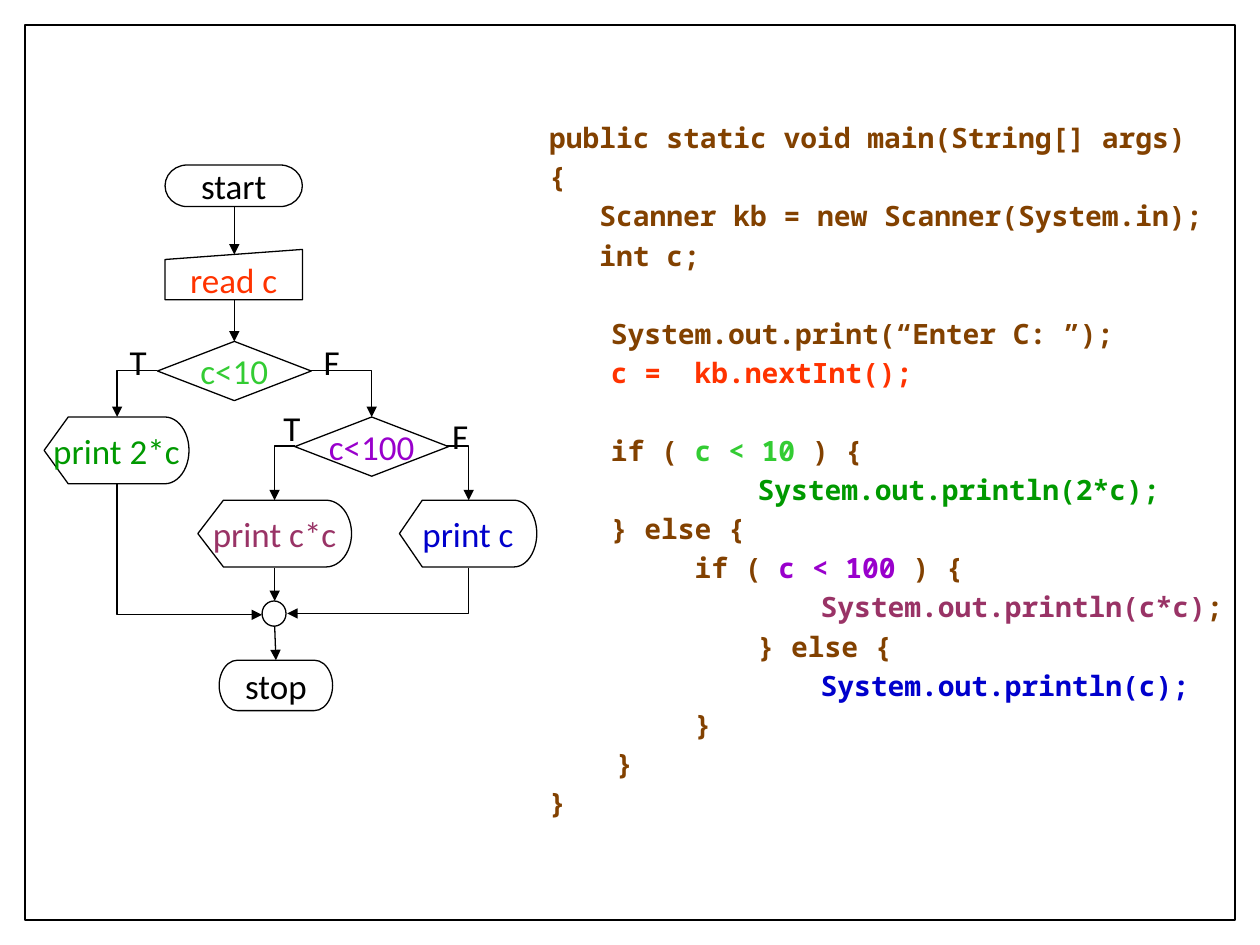
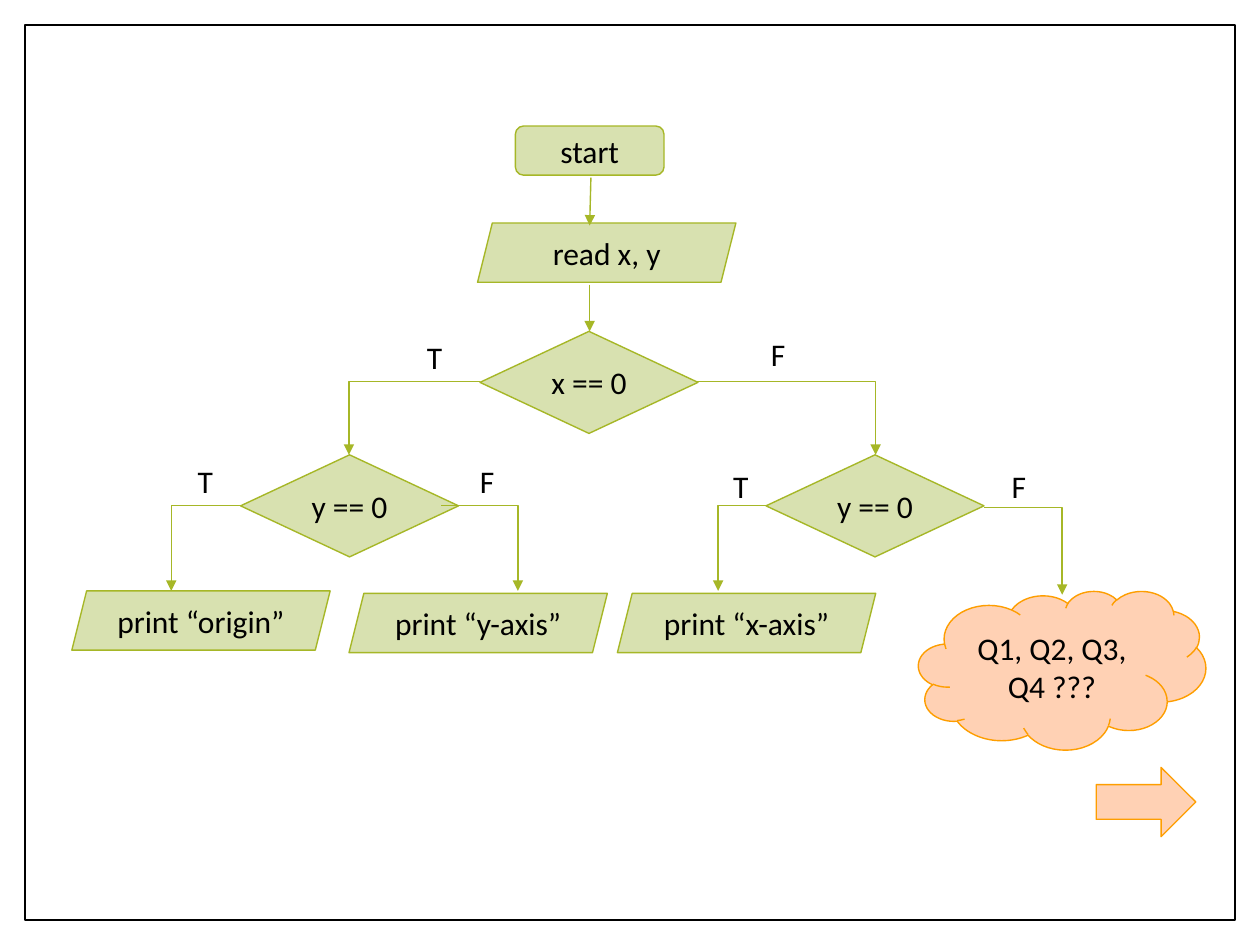
from dataclasses import dataclass

from lxml import etree
from pptx import Presentation
from pptx import util as u
from pptx.dml.color import RGBColor
from pptx.enum import shapes, text
from pptx.oxml.ns import qn


@dataclass(frozen=True)
class Theme:
    font: str = "Calibri"
    code_font: str = "Noto Sans Mono"
    black: str = "000000"
    white: str = "FFFFFF"
    brown: str = "824100"
    red: str = "FF3300"
    lime: str = "33CC33"
    green: str = "009900"
    violet: str = "9900CC"
    plum: str = "993366"
    blue: str = "0000CC"
    olive: str = "A6B727"
    pale_olive: str = "D8E1B0"
    orange: str = "FE9E00"
    pale_orange: str = "FFD1B4"
    code_size: float = 16
    code_pitch: float = 22.35
    code_gap: float = 3.15
    large: float = 20
    medium: float = 18
    thin: float = 0.75
    medium_line: float = 0.79
    frame_line: float = 1


theme = Theme()
kinds = shapes.MSO_SHAPE


def add_node(slide, kind, box, words="", size=theme.large, color=theme.black,
             fill=theme.white, line=theme.black, width=theme.thin, wrap=False):
    place = [u.Inches(value) for value in box]
    if kind is None:
        shape = slide.shapes.add_textbox(*place)
        shape.text_frame.auto_size = text.MSO_AUTO_SIZE.SHAPE_TO_FIT_TEXT
    else:
        shape = slide.shapes.add_shape(kind, *place)
        shape.shadow.inherit = False
        shape.fill.solid()
        shape.fill.fore_color.rgb = RGBColor.from_string(fill)
        shape.line.color.rgb = RGBColor.from_string(line)
        shape.line.width = u.Pt(width)
        shape.text_frame.vertical_anchor = text.MSO_ANCHOR.MIDDLE
    shape.text_frame.word_wrap = wrap
    if words:
        paragraph = shape.text_frame.paragraphs[0]
        paragraph.text = words
        paragraph.alignment = text.PP_ALIGN.LEFT if kind is None else text.PP_ALIGN.CENTER
        paragraph.font.name = theme.font
        paragraph.font.size = u.Pt(size)
        paragraph.font.color.rgb = RGBColor.from_string(color)


def add_link(slide, start, end, color, width, arrow="tailEnd"):
    straight = abs(start[0] - end[0]) < 0.05
    kind = shapes.MSO_CONNECTOR.STRAIGHT if straight else shapes.MSO_CONNECTOR.ELBOW
    connector = slide.shapes.add_connector(kind, *[u.Inches(value) for value in start + end])
    properties = connector._element.spPr
    if not straight:
        properties.find(qn("a:prstGeom")).set("prst", "bentConnector2")
    connector.line.color.rgb = RGBColor.from_string(color)
    connector.line.width = u.Pt(width)
    etree.SubElement(properties.find(qn("a:ln")), qn("a:" + arrow), type="triangle")
    etree.SubElement(properties, qn("a:effectLst"))


presentation = Presentation()
presentation.slide_width = u.Inches(10)
presentation.slide_height = u.Inches(7.5)
code_slide, axis_slide = [
    presentation.slides.add_slide(presentation.slide_layouts[6]) for _ in range(2)
]
for slide in (code_slide, axis_slide):
    add_node(slide, kinds.RECTANGLE, (0.2, 0.2, 9.6, 7.1), width=theme.frame_line)

code_lines = [
    (0, 0, [("public static void main(String[] args)", theme.brown)]),
    (0, 0, [("{", theme.brown)]),
    (0, 0, [("   Scanner kb = new Scanner(System.in);", theme.brown)]),
    (0, 0, [("   int c;", theme.brown)]),
    (0.49, 1, [("System.out.print(“Enter C: ”);", theme.brown)]),
    (0.49, 0, [("c =  kb.nextInt();", theme.red)]),
    (0.49, 1, [("if ( ", theme.brown), ("c < 10 ", theme.lime), (") {", theme.brown)]),
    (0.99, 0, [("     System.out.println(2*c);", theme.green)]),
    (0.49, 0, [("} else {", theme.brown)]),
    (0.49, 0, [("     if ( ", theme.brown), ("c < 100 ", theme.violet), (") {", theme.brown)]),
    (1.49, 0, [("     System.out.println(c*c)", theme.plum), (";", theme.brown)]),
    (0.99, 0, [("     } else {", theme.brown)]),
    (1.49, 0, [("     System.out.println(c);", theme.blue)]),
    (0.49, 0, [("     }", theme.brown)]),
    (0, 0, [("    }", theme.brown)]),
    (0, 0, [("}", theme.brown)]),
]
code_box = code_slide.shapes.add_textbox(
    u.Inches(4.26), u.Inches(0.91), u.Inches(5.55), u.Inches(5.99))
code_frame = code_box.text_frame
code_frame.word_wrap = True
code_frame.margin_right = 0
for number, (margin, skipped_lines, runs) in enumerate(code_lines):
    paragraph = code_frame.add_paragraph() if number else code_frame.paragraphs[0]
    paragraph._p.get_or_add_pPr().set("marL", str(u.Inches(margin)))
    if number:
        paragraph.space_before = u.Pt(theme.code_gap + skipped_lines * theme.code_pitch)
    paragraph.font.name = theme.code_font
    paragraph.font.size = u.Pt(theme.code_size)
    paragraph.font.bold = True
    for words, color in runs:
        run = paragraph.add_run()
        run.text = words
        run.font.color.rgb = RGBColor.from_string(color)

for kind, box, words, color in [
    (kinds.FLOWCHART_TERMINATOR, (1.31, 1.31, 1.09, 0.33), "start", theme.black),
    (kinds.FLOWCHART_TERMINATOR, (1.74, 5.24, 0.9, 0.4), "stop", theme.black),
    (kinds.FLOWCHART_MANUAL_INPUT, (1.31, 1.98, 1.09, 0.4), "read c", theme.red),
    (kinds.FLOWCHART_DECISION, (1.25, 2.71, 1.22, 0.47), "c<10", theme.lime),
    (kinds.FLOWCHART_DECISION, (2.34, 3.31, 1.22, 0.47), "c<100", theme.violet),
    (kinds.FLOWCHART_CONNECTOR, (2.08, 4.77, 0.19, 0.2), "", theme.black),
    (kinds.FLOWCHART_DISPLAY, (0.35, 3.31, 1.15, 0.53), "print 2*c", theme.green),
    (kinds.FLOWCHART_DISPLAY, (1.57, 3.97, 1.22, 0.53), "print c*c", theme.plum),
    (kinds.FLOWCHART_DISPLAY, (3.17, 3.97, 1.09, 0.53), "print c", theme.blue),
]:
    add_node(code_slide, kind, box, words, color=color)

for start, end in [
    ((1.86, 1.64), (1.86, 2.02)),
    ((1.86, 2.38), (1.86, 2.71)),
    ((1.25, 2.94), (0.93, 3.31)),
    ((2.47, 2.94), (2.95, 3.31)),
    ((2.34, 3.54), (2.18, 3.97)),
    ((3.55, 3.54), (3.72, 3.97)),
    ((2.18, 4.51), (2.18, 4.77)),
    ((2.18, 4.97), (2.19, 5.24)),
]:
    add_link(code_slide, start, end, theme.black, theme.thin)
for join, branch in [((2.08, 4.88), (0.93, 3.84)), ((2.28, 4.87), (3.72, 4.51))]:
    add_link(code_slide, join, branch, theme.black, theme.thin, "headEnd")

for left, top, answer in [
    (0.93, 2.65, "T"), (2.47, 2.65, "F"), (2.15, 3.18, "T"), (3.49, 3.24, "F"),
]:
    add_node(code_slide, None, (left, top, 0.3, 0.37), answer)

add_node(axis_slide, kinds.CLOUD, (7.29, 4.69, 2.28, 1.26), "Q1, Q2, Q3, Q4 ???", theme.medium,
         fill=theme.pale_orange, line=theme.orange, width=theme.medium_line, wrap=True)
add_node(axis_slide, kinds.RIGHT_ARROW, (8.7, 6.09, 0.79, 0.55),
         fill=theme.pale_orange, line=theme.orange, width=theme.medium_line)

sizes = {
    kinds.ROUNDED_RECTANGLE: (1.18, 0.39),
    kinds.PARALLELOGRAM: (2.05, 0.47),
    kinds.DIAMOND: (1.73, 0.81),
}
for kind, left, top, words in [
    (kinds.ROUNDED_RECTANGLE, 4.09, 1, "start"),
    (kinds.PARALLELOGRAM, 3.79, 1.77, "read x, y"),
    (kinds.DIAMOND, 3.81, 2.63, "x == 0"),
    (kinds.DIAMOND, 1.91, 3.61, "y == 0"),
    (kinds.DIAMOND, 6.08, 3.61, "y == 0"),
    (kinds.PARALLELOGRAM, 0.57, 4.69, "print “origin”"),
    (kinds.PARALLELOGRAM, 2.77, 4.71, "print “y-axis”"),
    (kinds.PARALLELOGRAM, 4.9, 4.71, "print “x-axis”"),
]:
    add_node(axis_slide, kind, (left, top) + sizes[kind], words, theme.medium,
             fill=theme.pale_olive, line=theme.olive, width=theme.medium_line, wrap=True)

for start, end in [
    ((4.69, 1.41), (4.68, 1.79)),
    ((4.68, 2.26), (4.68, 2.63)),
    ((3.81, 3.03), (2.77, 3.61)),
    ((5.52, 3.03), (6.95, 3.61)),
    ((1.91, 4.01), (1.36, 4.69)),
    ((3.5, 4.01), (4.11, 4.69)),
    ((6.08, 4.01), (5.7, 4.69)),
    ((7.81, 4.03), (8.43, 4.72)),
]:
    add_link(axis_slide, start, end, theme.olive, theme.medium_line)

for left, top, answer in [
    (3.29, 2.63, "T"), (6.02, 2.61, "F"), (1.47, 3.62, "T"),
    (3.71, 3.62, "F"), (5.72, 3.66, "T"), (7.93, 3.66, "F"),
]:
    add_node(axis_slide, None, (left, top, 0.35, 0.4), answer, theme.medium)

presentation.save("out.pptx")
